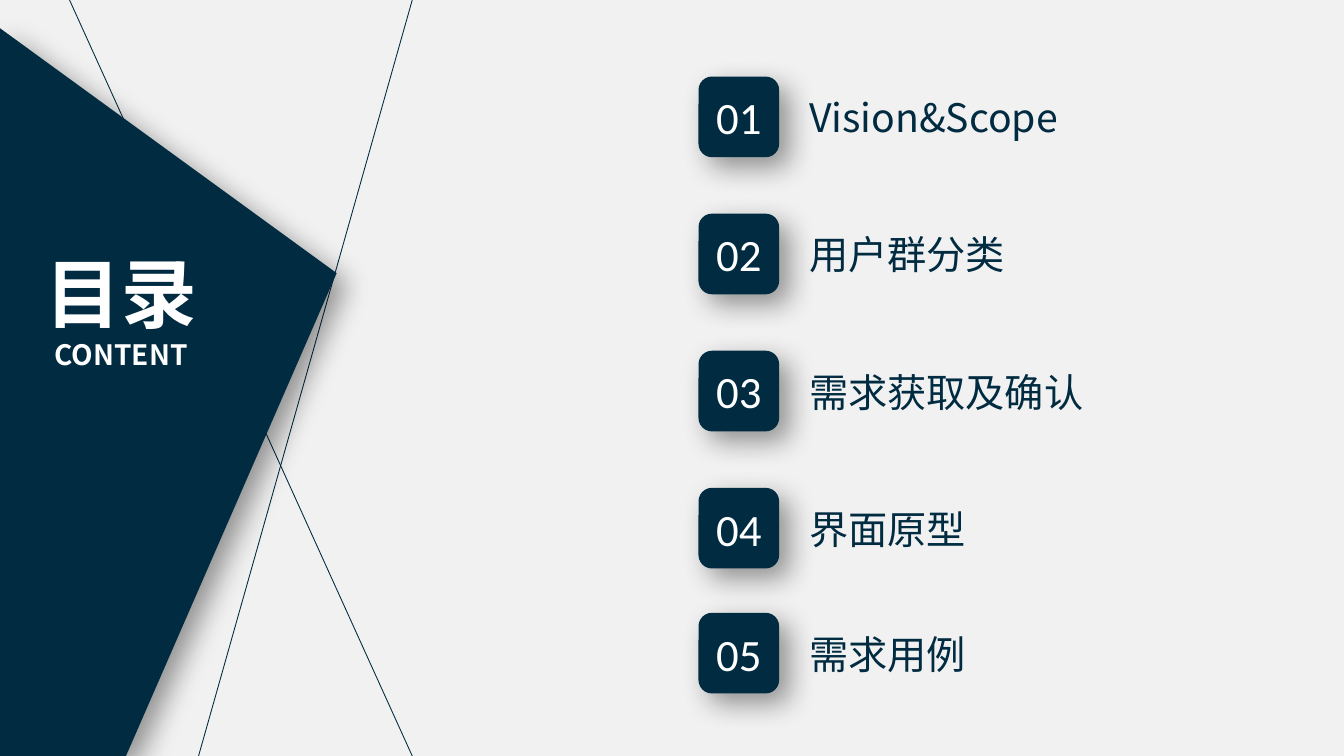
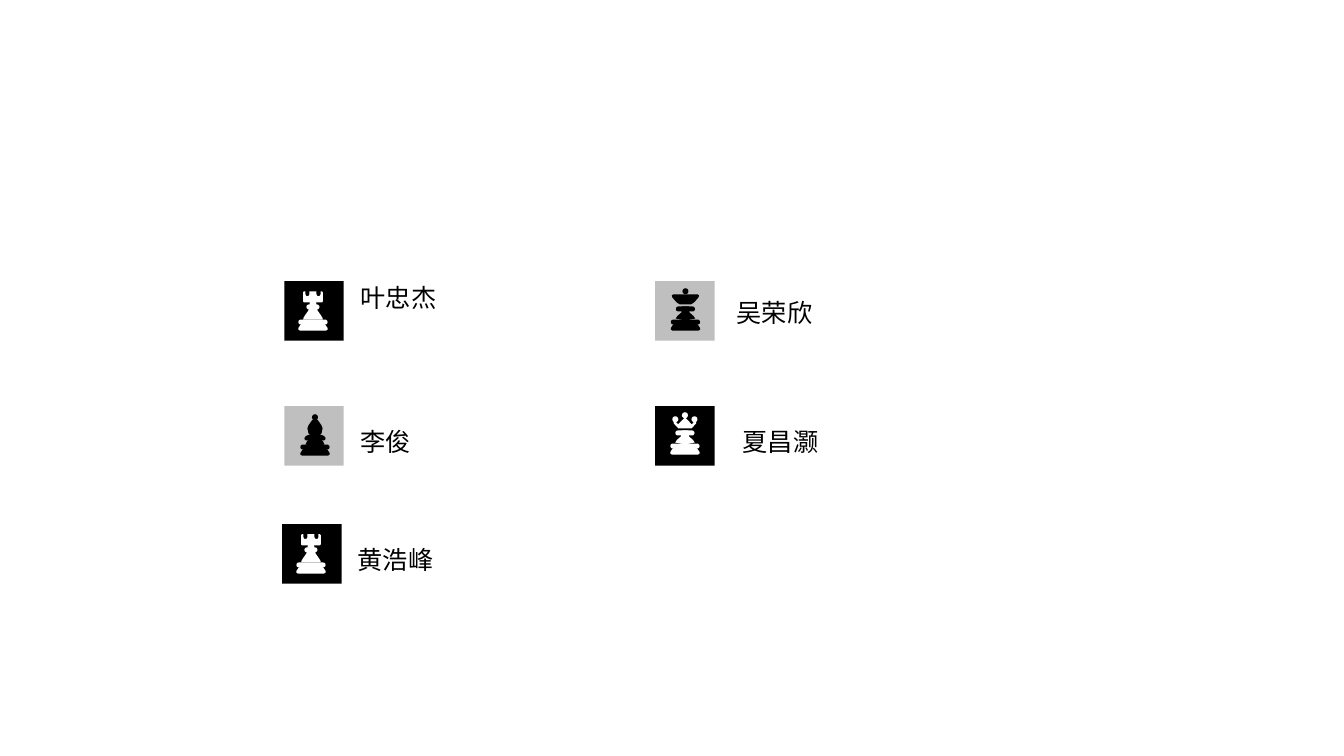
"""Builds a contents slide and a team slide with chess-piece badges."""
from lxml import etree
from pptx import Presentation
from pptx import util as u
from pptx.dml.color import RGBColor
from pptx.enum import shapes, text
from pptx.oxml.ns import qn

COLUMNS, ROWS = 133.33, 75
CELL = u.Inches(0.1)
NAVY, PAPER, WHITE, BLACK, GREY = "002B41", "F1F1F1", "FFFFFF", "000000", "BFBFBF"
HAN, LATIN = "Noto Sans CJK SC", "Calibri"
KIND = shapes.MSO_SHAPE
hue = RGBColor.from_string


def paint(shape, colour, raised=False):
    shape.shadow.inherit = False
    shape.fill.solid()
    shape.fill.fore_color.rgb = hue(colour)
    shape.line.fill.background()
    if raised:
        effects = shape._element.spPr.find(qn("a:effectLst"))
        shade = etree.SubElement(effects, qn("a:outerShdw"), blurRad=str(u.Pt(20)),
                                 dist=str(u.Pt(10)), dir=str(45 * 60000),
                                 algn="tl", rotWithShape="0")
        black = etree.SubElement(shade, qn("a:srgbClr"), val=BLACK)
        etree.SubElement(black, qn("a:alpha"), val="40000")


def write(shape, lines, sizes, colour, font=HAN, bold=False, align="LEFT", spacing=1):
    frame = shape.text_frame
    frame.word_wrap = True
    frame.text = "\n".join(lines)
    for paragraph, size in zip(frame.paragraphs, sizes):
        paragraph.alignment = text.PP_ALIGN[align]
        paragraph.line_spacing = spacing
        for run in paragraph.runs:
            run.font.size, run.font.bold, run.font.name = u.Pt(size), bold, font
            run.font.color.rgb = hue(colour)
            etree.SubElement(run.font._element, qn("a:ea"), typeface=font)


deck = Presentation()
deck.slide_width, deck.slide_height = round(COLUMNS * CELL), ROWS * CELL
contents, team = [deck.slides.add_slide(deck.slide_layouts[6]) for _ in range(2)]
for slide, colour in ((contents, PAPER), (team, WHITE)):
    slide.background.fill.solid()
    slide.background.fill.fore_color.rgb = hue(colour)

for top_x, bottom_x in ((40.9, 19.7), (6.9, 40.9)):
    ray = contents.shapes.add_connector(
        shapes.MSO_CONNECTOR.STRAIGHT, round(top_x * CELL), 0,
        round(bottom_x * CELL), ROWS * CELL)
    ray.line.color.rgb = hue(NAVY)
    ray.line.width = u.Pt(0.63)
    etree.SubElement(ray._element.spPr, qn("a:effectLst"))

corners = [(x * CELL, y * CELL) for x, y in ((0, 2.8), (33.4, 27.1), (12.5, ROWS), (0, ROWS))]
wedge = contents.shapes.build_freeform(*corners[0], scale=1)
wedge.add_line_segments(corners[1:])
paint(wedge.convert_to_shape(), NAVY, raised=True)

heading = contents.shapes.add_textbox(*[round(n * CELL) for n in (2.4, 24, 19.2, 13.5)])
write(heading, ["目录", "CONTENT"], [54, 20], WHITE, bold=True, align="CENTER")

chapters = (("Vision&Scope", 7.6), ("用户群分类", 21.2), ("需求获取及确认", 34.8),
            ("界面原型", 48.4), ("需求用例", 60.8))
for number, (chapter, row) in enumerate(chapters, 1):
    badge = contents.shapes.add_shape(
        KIND.ROUNDED_RECTANGLE, *[round(n * CELL) for n in (69.3, row, 8, 8)])
    paint(badge, NAVY, raised=True)
    write(badge, [f"{number:02}"], [32], WHITE, LATIN, align="CENTER")
    badge.text_frame.margin_left = badge.text_frame.margin_right = 0
    entry = contents.shapes.add_textbox(
        *[round(n * CELL) for n in (79.3, row + 1.2, 31.7, 5.7)])
    write(entry, [chapter], [28], NAVY)

# Piece parts are in tenths of a cell: x from the piece's axis, y from the tile's top.
FOOT = [(5, 39), (8, 40), (10, 41.5), (12.5, 43.5), (14.5, 46.5), (14.5, 48), (13, 49)]
ROOK_BODY = [(0, 17), (2, 18), (3, 20), (3.5, 24), (4.5, 29), (8, 34), (9.5, 36.5), (9.7, 38)]
ROOK_HEAD = [(3.5, 10), (3.5, 13), (4.5, 14.7), (6.5, 14.7), (7.5, 13), (7.5, 10),
             (9, 10), (9.8, 11), (9.8, 20), (9, 21)]
BISHOP_BODY = [(0, 18), (2, 20), (3, 24), (4, 30), (8, 35), (9.5, 38), (0, 40)]
BISHOP_SASH = [(0, 26), (9, 29.5), (10.5, 31.5), (10, 33.5), (8, 34), (0, 31)]
BISHOP_HEAD = [(0, 11), (3, 14), (6.5, 19), (7.5, 22), (6.5, 27), (3, 29.5), (0, 30)]
ROYAL_BODY = [(3.3, 25), (4, 31), (8, 34.5), (9.7, 37), (0, 39)]
QUEEN_CROWN = [(0, 12), (6.8, 19), (11.2, 14), (11.2, 18), (6.5, 23)]
KING_BOWL = [(12, 13), (13.5, 14), (13, 16), (10, 19.5), (8, 21.5), (5.5, 23)]
BASE = (38, 29)
PIECES = {
    "rook": (28.5, 0, [ROOK_BODY, ROOK_HEAD], [BASE, (23, 13)], []),
    "bishop": (30.5, 0, [BISHOP_BODY, BISHOP_SASH, BISHOP_HEAD], [BASE], [(0, 11)]),
    "queen": (29.5, -1, [ROYAL_BODY, QUEEN_CROWN], [BASE, (25, 19)],
              [(0, 10), (-9.5, 14), (9.5, 14)]),
    "king": (30, 0, [ROYAL_BODY, KING_BOWL], [BASE, (25, 19)], [(0, 10)]),
}
members = (
    ("叶忠杰", "rook", BLACK, WHITE, 28.2, 27.9, 34.8, 26),
    ("李俊", "bishop", GREY, BLACK, 28.2, 40.3, 34.8, 40.3),
    ("夏昌灏", "queen", BLACK, WHITE, 65, 40.3, 72.7, 40.3),
    ("吴荣欣", "king", GREY, BLACK, 65, 27.9, 72.1, 27.5),
    ("黄浩峰", "rook", BLACK, WHITE, 28, 52, 34.5, 52),
)
for member, piece, ground, ink, column, row, name_column, name_row in members:
    axis, lift, outlines, collars, balls = PIECES[piece]
    middle, top = column + axis / 10, row + lift / 10
    emblem = team.shapes.add_group_shape().shapes
    tile = emblem.add_shape(KIND.RECTANGLE, *[round(n * CELL) for n in (column, row, 5.9, 5.9)])
    paint(tile, ground)
    for half in [FOOT] + outlines:
        whole = half + [(-x, y) for x, y in reversed(half)]
        points = [((middle + x / 10) * CELL, (top + y / 10) * CELL) for x, y in whole]
        outline = emblem.build_freeform(*points[0], scale=1)
        outline.add_line_segments(points[1:])
        paint(outline.convert_to_shape(), ink)
    for y, width in collars:
        collar = emblem.add_shape(KIND.ROUNDED_RECTANGLE, *[
            round(n * CELL) for n in (middle - width / 20, top + y / 10, width / 10, 0.5)])
        collar.adjustments[0] = 0.5
        paint(collar, ink)
    for x, y in balls:
        ball = emblem.add_shape(KIND.OVAL, *[
            round(n * CELL) for n in (middle + x / 10 - 0.3, top + y / 10 - 0.3, 0.6, 0.6)])
        paint(ball, ink)
    name = team.shapes.add_textbox(
        *[round(n * CELL) for n in (name_column, name_row, 29.7, 5)])
    write(name, [member], [18], BLACK, spacing=1.5)

deck.save("out.pptx")
